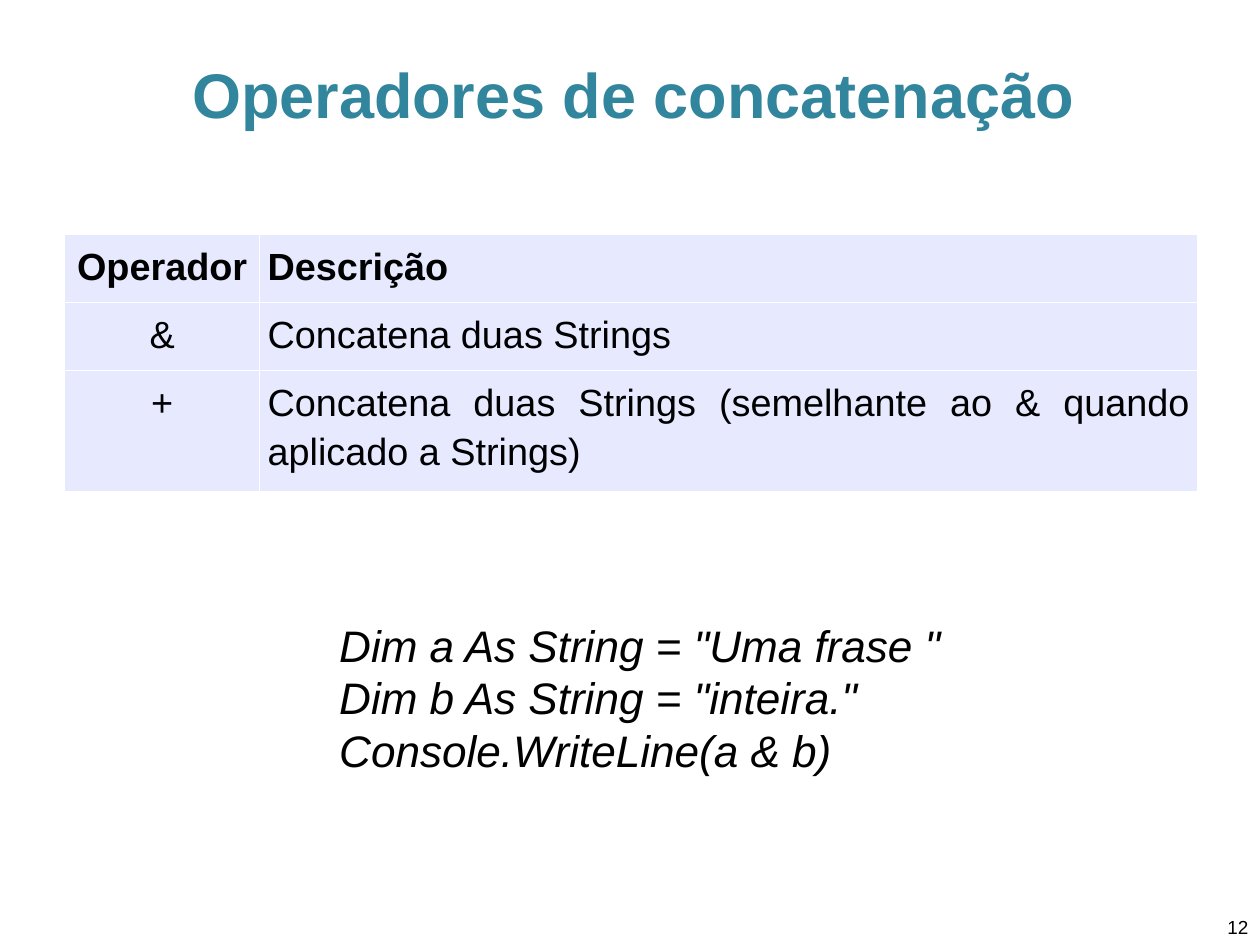
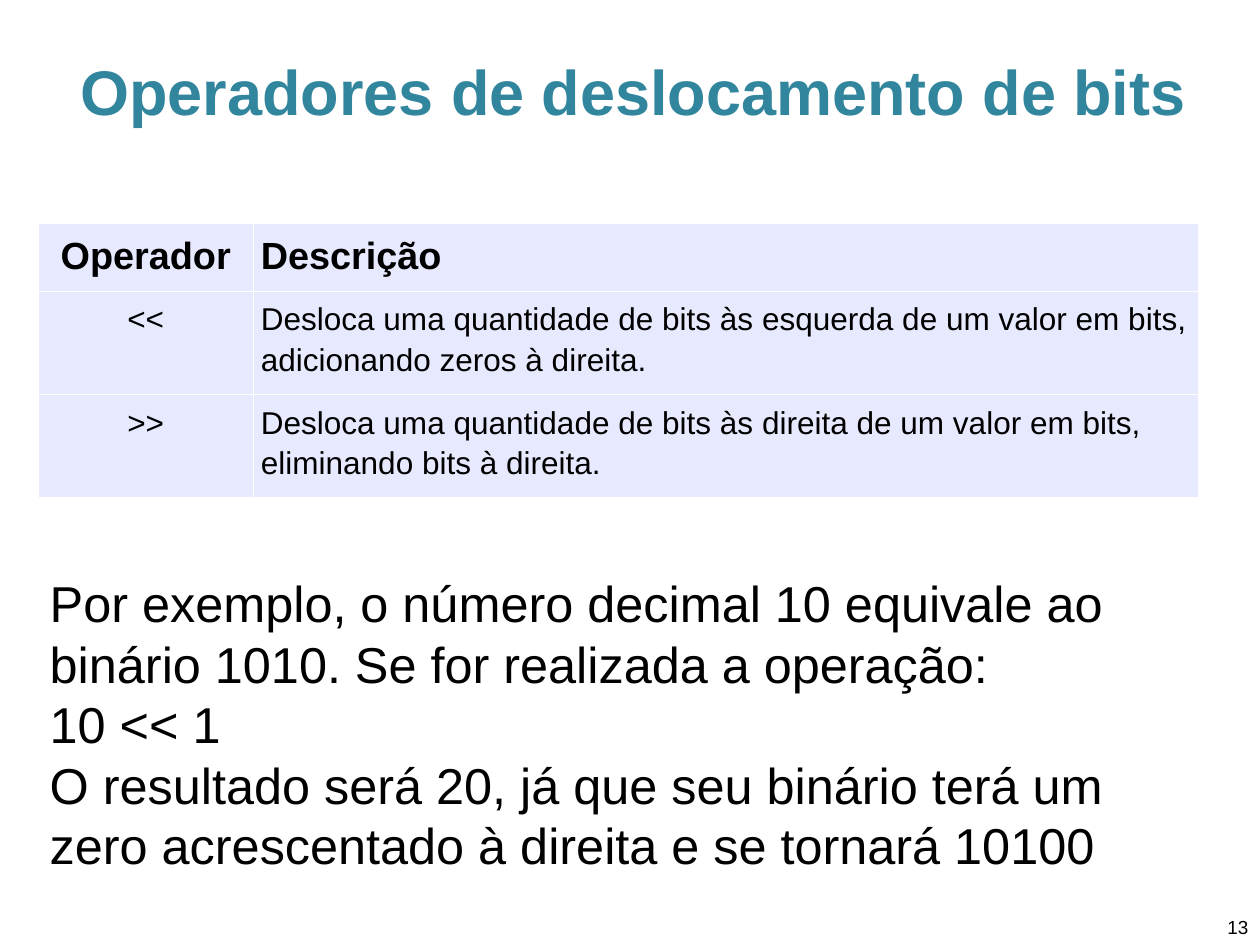
from lxml import etree
from pptx import Presentation
from pptx.dml.color import RGBColor
from pptx.enum.text import MSO_ANCHOR, MSO_AUTO_SIZE, PP_ALIGN
from pptx.oxml import parse_xml
from pptx.oxml.ns import nsdecls
from pptx.util import Inches, Pt

LEFT, CENTER = PP_ALIGN.LEFT, PP_ALIGN.CENTER
RIGHT, JUSTIFY = PP_ALIGN.RIGHT, PP_ALIGN.JUSTIFY
TOP, MIDDLE = MSO_ANCHOR.TOP, MSO_ANCHOR.MIDDLE
NO_FIT = MSO_AUTO_SIZE.NONE

# The slide is a grid of 100 columns by 75 rows of square cells
COLUMNS, ROWS = 100, 75
CELL = Inches(11.11) / COLUMNS
MARGIN = 3.06

TEAL, BLACK, WHITE, LAVENDER = "31859C", "000000", "FFFFFF", "E7EAFF"
TITLE = {"size": Pt(40), "bold": True, "color": TEAL}
NUMBER = {"size": Pt(12)}
HEADER = {"size": Pt(24), "bold": True}
CODE = {"size": Pt(28), "italic": True}
BODY = {"size": Pt(32)}


def grid(count):
    return round(count * CELL)


def rgb(color):
    return RGBColor.from_string(color)


def place(shape, left, top, width, height):
    for name, value in zip(("left", "top", "width", "height"),
                           (left, top, width, height)):
        setattr(shape, name, grid(value))


def write(frame, lines, style, align=LEFT, spacing=None):
    """Fill a text frame with one formatted paragraph per line."""
    values = {"name": "Arial", "bold": False, "italic": False, **style}
    color = values.pop("color", BLACK)
    for index, line in enumerate(lines):
        para = frame.add_paragraph() if index else frame.paragraphs[0]
        para.alignment = align
        para.line_spacing = spacing
        span = para.add_run()
        span.text = line
        span.font.color.rgb = rgb(color)
        for name, value in values.items():
            setattr(span.font, name, value)


def add_text(page, area, lines, style, align=LEFT, anchor=TOP, **margins):
    box = page.shapes.add_textbox(*map(grid, area))
    frame = box.text_frame
    settings = {"word_wrap": True, "vertical_anchor": anchor, **margins}
    for name, value in settings.items():
        setattr(frame, name, value)
    write(frame, lines, style, align)


def add_borders(cell):
    properties = cell._tc.get_or_add_tcPr()
    for side in ("lnL", "lnR", "lnT", "lnB"):
        line = parse_xml(f'<a:{side} {nsdecls("a")} w="{Pt(0.45)}"/>')
        fill = etree.SubElement(line, line.tag.replace(side, "solidFill"))
        etree.SubElement(fill, line.tag.replace(side, "srgbClr"), val=WHITE)
        properties.append(line)


def add_operators(page, left, top, widths, heights, rows, size,
                  header_align, text_align):
    """Add a table of operators with a bold header row."""
    frame = page.shapes.add_table(
        len(heights), len(widths), grid(left), grid(top),
        grid(sum(widths)), grid(sum(heights)))
    table = frame.table
    table.first_row = table.horz_banding = False
    for column, width in zip(table.columns, widths):
        column.width = grid(width)
    for row, height in zip(table.rows, heights):
        row.height = grid(height)
    for r, texts in enumerate([("Operador", "Descrição"), *rows]):
        style = {"size": size} if r else HEADER
        aligns = (CENTER, text_align if r else header_align)
        for c, (text, align) in enumerate(zip(texts, aligns)):
            cell = table.cell(r, c)
            cell.margin_left = cell.margin_right = Inches(0.07)
            add_borders(cell)
            cell.fill.solid()
            cell.fill.fore_color.rgb = rgb(LAVENDER)
            write(cell.text_frame, [text], style, align, 1.15)


def add_page(deck, title, title_height, number):
    """Add a slide with the shared title and page number."""
    page = deck.slides.add_slide(deck.slide_layouts.get_by_name("Title Only"))
    heading = page.shapes.title
    place(heading, MARGIN, 2.97, 94.33, title_height)
    heading.text_frame.auto_size = NO_FIT
    heading.text_frame.vertical_anchor = MIDDLE
    write(heading.text_frame, [title], TITLE, CENTER)
    add_text(page, (95.05, 72.2, 4.9, 2.8), [str(number)], NUMBER,
             RIGHT, MIDDLE)
    return page


def main():
    deck = Presentation()
    deck.slide_width, deck.slide_height = grid(COLUMNS), grid(ROWS)

    # Concatenation operators
    page = add_page(deck, "Operadores de concatenação", 8.91, 12)
    add_operators(
        page, 5.13, 18.63, (15.48, 74.44), (5.4, 5.4, 9.54),
        [("&", "Concatena duas Strings"),
         ("+", "Concatena duas Strings (semelhante ao & quando aplicado "
               "a Strings)")],
        Pt(24), LEFT, JUSTIFY)
    add_text(
        page, (16.92, 48.6, 58.6, 13.5),
        ['Dim a As String = "Uma frase "',
         'Dim b As String = "inteira."',
         "Console.WriteLine(a & b)"],
        CODE, margin_left=grid(10), margin_right=0)

    # Bit shift operators
    page = add_page(deck, "Operadores de deslocamento de bits", 8.46, 13)
    add_operators(
        page, MARGIN, 17.73, (17.01, 75.07), (5.4, 8.19, 8.19),
        [("<<", "Desloca uma quantidade de bits às esquerda de um valor em "
                "bits, adicionando zeros à direita."),
         (">>", "Desloca uma quantidade de bits às direita de um valor em "
                "bits, eliminando bits à direita.")],
        Pt(20), JUSTIFY, LEFT)
    add_text(
        page, (MARGIN, 45, 92.08, 24.93),
        ["Por exemplo, o número decimal 10 equivale ao binário 1010. "
         "Se for realizada a operação:",
         "10 << 1",
         "O resultado será 20, já que seu binário terá um zero acrescentado "
         "à direita e se tornará 10100"],
        BODY)

    deck.save("out.pptx")


if __name__ == "__main__":
    main()
